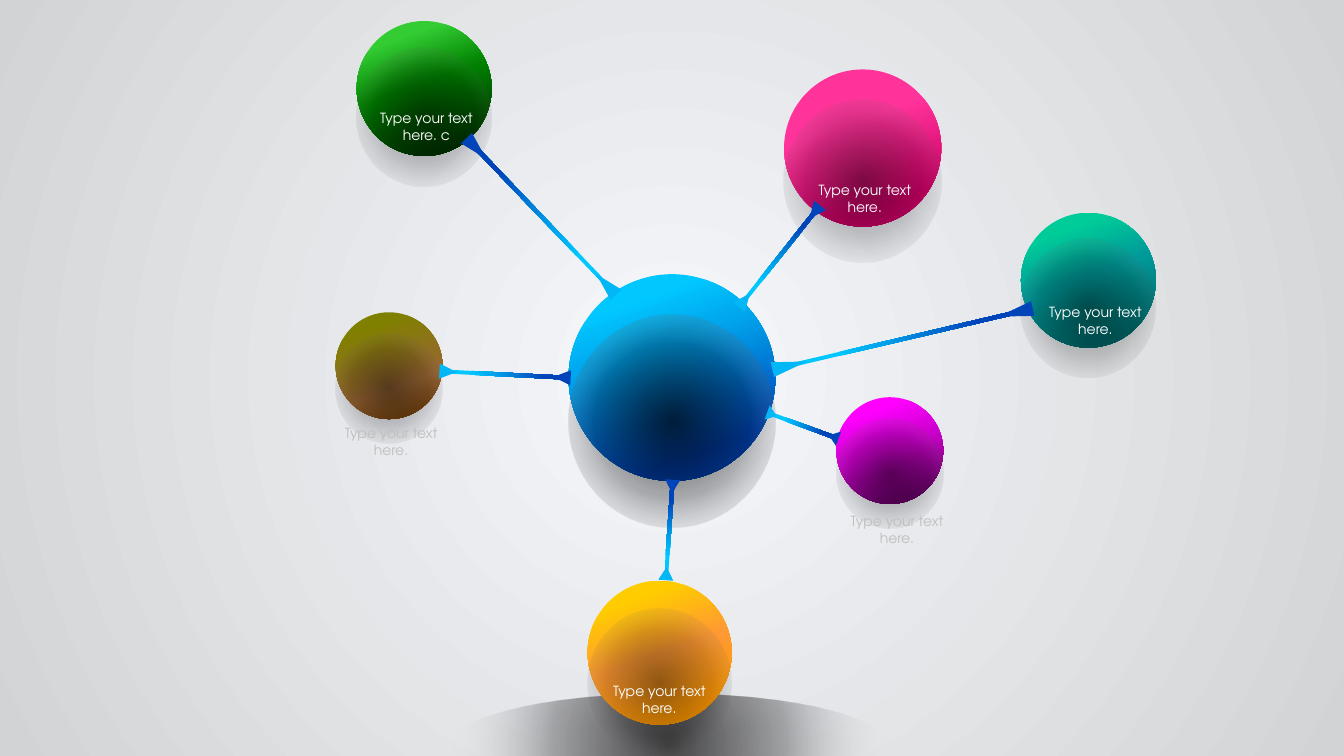
from dataclasses import dataclass
from math import cos, radians, sin

from lxml import etree
from pptx import Presentation
from pptx.dml.color import RGBColor
from pptx.enum.shapes import MSO_SHAPE
from pptx.enum.text import MSO_AUTO_SIZE, PP_ALIGN
from pptx.oxml.ns import qn
from pptx.util import Cm, Pt

OVAL, BAR, TRIANGLE = MSO_SHAPE.OVAL, MSO_SHAPE.RECTANGLE, MSO_SHAPE.ISOSCELES_TRIANGLE
GROW = MSO_AUTO_SIZE.SHAPE_TO_FIT_TEXT
CENTER = PP_ALIGN.CENTER

# A stop is position %, colour, opacity %
Stops = tuple[tuple[int, str, int], ...]


def opaque(*stops: tuple[int, str]) -> Stops:
    return tuple((place, color, 100) for place, color in stops)


def shade(core: int, middle: int) -> Stops:
    return (0, "000000", core), (52, "000000", middle), (100, "FFFFFF", 0)


@dataclass(frozen=True)
class Theme:
    font: str = "TeX Gyre Adventor"
    caption_size: int = 10
    white: str = "FFFFFF"
    gray: str = "BFBFBF"
    light_tip: str = "03B6F5"
    dark_tip: str = "0144B9"
    backdrop: Stops = opaque((0, "F6F8FC"), (100, "D2D3D5"))
    blue: Stops = opaque((18, "01C7FF"), (36, "01A7EE"), (81, "0144B9"))
    pink: Stops = opaque((18, "FF3399"), (36, "FF3399"), (81, "CC0066"))
    teal: Stops = opaque((18, "00CC99"), (48, "009999"), (88, "006666"))
    orange: Stops = opaque((18, "FFCC00"), (51, "FF9933"), (87, "FF9900"))
    green: Stops = opaque((18, "33CC33"), (48, "008000"), (88, "003300"))
    magenta: Stops = opaque((18, "FF00FF"), (48, "CC00CC"), (88, "660066"))
    olive: Stops = opaque((18, "808000"), (67, "996633"), (100, "663300"))
    strong_shade: Stops = shade(71, 29)
    soft_shade: Stops = shade(43, 16)


THEME = Theme()


@dataclass(frozen=True)
class Ball:
    left: float
    top: float
    size: float
    stops: Stops
    shade: Stops = THEME.soft_shade
    # Each glow: left, top, width, height as shares of the ball size
    glows: tuple[tuple[float, float, float, float], ...] = ()


@dataclass(frozen=True)
class Link:
    x: float
    y: float
    length: float
    angle: float


@dataclass(frozen=True)
class Caption:
    left: float
    top: float
    color: str = THEME.white
    text: str = "Type your text here."


HUB_GLOWS = ((0.13, -0.02, 0.42, 0.44), (0.31, -0.05, 0.42, 0.44))
SMALL_GLOWS = ((0.12, -0.14, 0.72, 0.75),)
BALLS = (
    Ball(14.33, 6.91, 5.21, THEME.blue, THEME.strong_shade, HUB_GLOWS),
    Ball(19.76, 1.75, 3.96, THEME.pink),
    Ball(25.73, 5.36, 3.4, THEME.teal),
    Ball(14.81, 14.63, 3.63, THEME.orange),
    Ball(8.99, 0.53, 3.4, THEME.green),
    Ball(21.08, 10.01, 2.69, THEME.magenta, glows=SMALL_GLOWS),
    Ball(8.46, 7.87, 2.69, THEME.olive, glows=SMALL_GLOWS),
)
LINKS = (
    Link(19.69, 6.4, 2.79, 218.5),
    Link(20.27, 10.74, 1.63, 290.1),
    Link(22.89, 8.51, 5.74, 256.8),
    Link(16.87, 13.3, 2.16, 183.9),
    Link(12.8, 9.44, 2.82, 272.9),
    Link(13.56, 5.37, 4.65, 136.3),
)
CAPTIONS = (
    Caption(9.12, 2.64, text="Type your text here. c"),
    Caption(20.17, 4.45),
    Caption(25.98, 7.52),
    Caption(14.99, 17.07),
    Caption(8.23, 10.57, THEME.gray),
    Caption(20.98, 12.8, THEME.gray),
)


def paint_gradient(holder, stops: Stops, angle: int | None = None) -> None:
    """Swap the solid fill for a linear gradient, or a radial one without angle."""
    gradient = etree.Element(qn("a:gradFill"), rotWithShape="1")
    stop_list = etree.SubElement(gradient, qn("a:gsLst"))
    for place, color, opacity in stops:
        stop = etree.SubElement(stop_list, qn("a:gs"), pos=str(place * 1000))
        tint = etree.SubElement(stop, qn("a:srgbClr"), val=color)
        if opacity < 100:
            etree.SubElement(tint, qn("a:alpha"), val=str(opacity * 1000))
    if angle is None:
        radial = etree.SubElement(gradient, qn("a:path"), path="circle")
        middle = dict.fromkeys("ltrb", "50000")
        etree.SubElement(radial, qn("a:fillToRect"), middle)
    else:
        etree.SubElement(gradient, qn("a:lin"), ang=str(angle * 60000), scaled="0")
    holder.replace(holder.find(qn("a:solidFill")), gradient)


def add_form(shapes, kind, left: float, top: float, width: float, height: float,
             color: str = THEME.white, rotation: float = 0):
    form = shapes.add_shape(kind, Cm(left), Cm(top), Cm(width), Cm(height))
    form.shadow.inherit = False
    form.fill.solid()
    form.fill.fore_color.rgb = RGBColor.from_string(color)
    form.line.fill.background()
    form.rotation = rotation % 360
    return form


def add_ball(page, ball: Ball) -> None:
    shapes = page.shapes.add_group_shape().shapes
    size = ball.size
    body = add_form(shapes, OVAL, ball.left, ball.top, size, size)
    paint_gradient(body._element.spPr, ball.stops, 70)
    dark = add_form(shapes, OVAL, ball.left, ball.top + 0.195 * size, size, 1.03 * size)
    paint_gradient(dark._element.spPr, ball.shade)
    for x, y, width, height in ball.glows:
        glow = add_form(shapes, OVAL, ball.left + x * size, ball.top + y * size,
                        width * size, height * size)
        effects = glow._element.spPr.find(qn("a:effectLst"))
        etree.SubElement(effects, qn("a:softEdge"), rad=str(Pt(25)))


def add_link(page, link: Link) -> None:
    shapes = page.shapes.add_group_shape().shapes
    turn = radians(link.angle)

    def place(kind, shift: float, width: float, height: float, color: str, rotation: float):
        x = link.x + shift * link.length * sin(turn)
        y = link.y - shift * link.length * cos(turn)
        return add_form(shapes, kind, x - width / 2, y - height / 2,
                        width, height, color, rotation)

    bar = place(BAR, 0, 0.1, link.length, THEME.white, link.angle)
    paint_gradient(bar._element.spPr, THEME.blue, 70)
    tip = 0.155 * link.length
    place(TRIANGLE, 0.535, 0.38, tip, THEME.light_tip, link.angle - 180)
    place(TRIANGLE, -0.484, 0.38, tip, THEME.dark_tip, link.angle)


def add_caption(page, caption: Caption) -> None:
    box = page.shapes.add_textbox(Cm(caption.left), Cm(caption.top), Cm(3.25), Cm(1.14))
    frame = box.text_frame
    frame.word_wrap = True
    frame.auto_size = GROW
    para = frame.paragraphs[0]
    para.alignment = CENTER
    span = para.add_run()
    span.text = caption.text
    for name, value in {"name": THEME.font, "size": Pt(THEME.caption_size)}.items():
        setattr(span.font, name, value)
    span.font.color.rgb = RGBColor.from_string(caption.color)


def main() -> None:
    deck = Presentation()
    deck.slide_width, deck.slide_height = Cm(33.87), Cm(19.05)
    page = deck.slides.add_slide(deck.slide_layouts[6])

    # Backdrop and floor shadow
    page.background.fill.solid()
    paint_gradient(page._element.find(".//" + qn("p:bgPr")), THEME.backdrop)
    floor = add_form(page.shapes, OVAL, 11.38, 17.48, 10.97, 2.59)
    paint_gradient(floor._element.spPr, THEME.strong_shade)

    # Balls, links between them, captions
    for ball in BALLS:
        add_ball(page, ball)
    for link in LINKS:
        add_link(page, link)
    for caption in CAPTIONS:
        add_caption(page, caption)
    deck.save("out.pptx")


if __name__ == "__main__":
    main()
